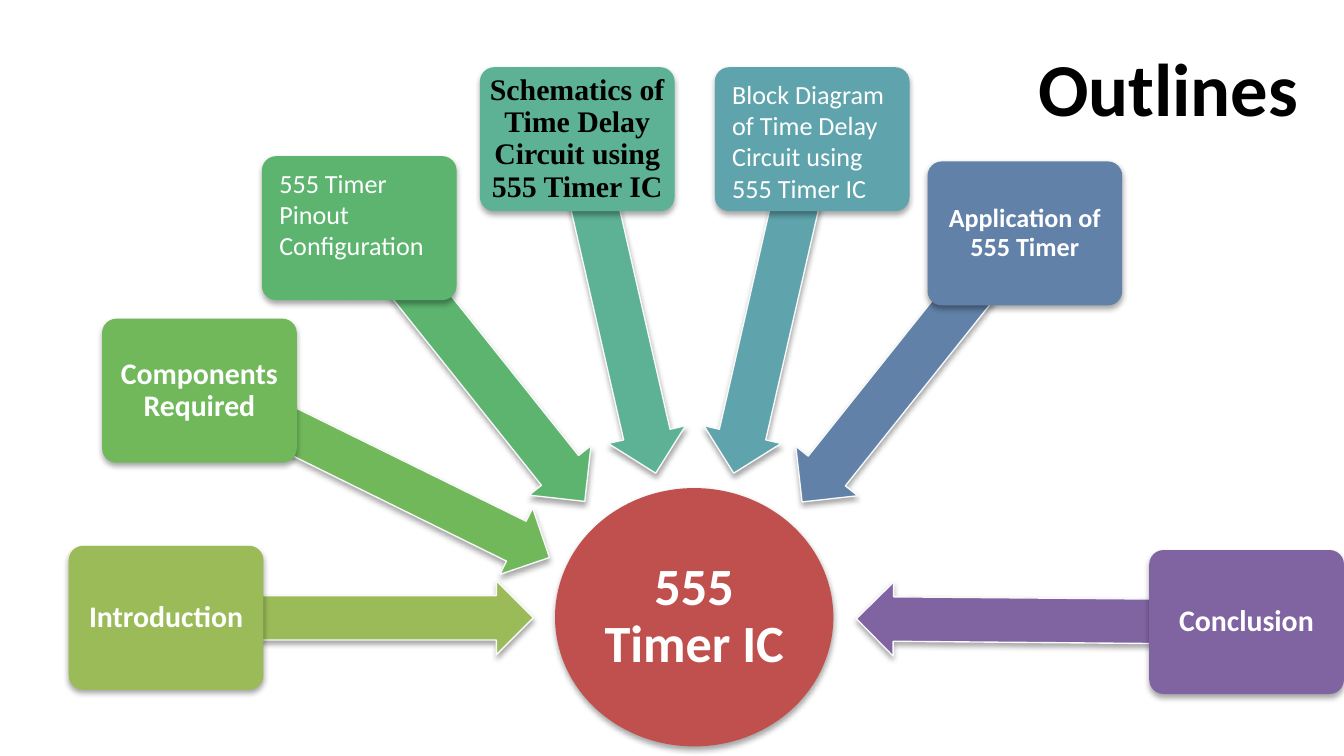
from lxml import etree
from pptx import Presentation
from pptx.dml.color import RGBColor
from pptx.enum import shapes, text
from pptx.oxml.ns import qn
from pptx.util import Cm, Pt

TITLE = "Outlines"
HUB = "555 Timer IC"
HUB_COLOUR = "C0504D"
WHITE, BLACK = "FFFFFF", "000000"
BOX_WIDTH, BOX_HEIGHT = 3.68, 2.72
CENTRED = {"size": 16, "bold": True}
PLAIN = {"size": 14, "centred": False}
SERIF = {**CENTRED, "font": "Times New Roman", "colour": BLACK}

# label, colour, text style, box (left, top),
# arrow (middle x, middle y, length, thickness, angle); lengths in cm
TOPICS = [
    ("Introduction", "9BBB59", CENTRED, (1.3, 10.31), (6.6, 11.67, 6.96, 1.4, 180)),
    ("Components Required", "70B85A", CENTRED, (1.93, 6.02), (7.07, 8.9, 7.39, 1.4, 206.2)),
    ("555 Timer Pinout Configuration", "5CB46F", PLAIN, (4.95, 2.95), (9, 6.9, 6.58, 1.5, 231.4)),
    ("Schematics of Time Delay Circuit using 555 Timer IC", "5DB195", SERIF,
     (9.07, 1.27), (11.67, 5.78, 6.48, 1.5, 257.1)),
    ("Block Diagram of Time Delay Circuit using 555 Timer IC", "5FA4AD", PLAIN,
     (13.51, 1.27), (14.59, 5.78, 6.48, 1.5, 282.9)),
    ("Application of 555 Timer", "6181A9", {**CENTRED, "size": 14},
     (17.53, 3.05), (17.18, 6.95, 6.48, 1.5, 308.6)),
    ("Conclusion", "8064A2", CENTRED, (21.72, 10.39), (19.88, 11.72, 7.39, 1.4, 0.5)),
]


def rgb(colour):
    return RGBColor.from_string(colour)


def add_shadow(shape):
    """Give the shape a soft black shadow straight below it."""
    shape.shadow.inherit = False
    effects = shape._element.spPr.find(qn("a:effectLst"))
    shadow = etree.SubElement(effects, qn("a:outerShdw"), blurRad=str(Pt(3.1)),
                              dist=str(Pt(1.8)), dir="5400000", rotWithShape="0")
    tint = etree.SubElement(shadow, qn("a:srgbClr"), val=BLACK)
    etree.SubElement(tint, qn("a:alpha"), val="35000")


def add_shape(page, kind, left, top, width, height, colour, line=None):
    shape = page.shapes.add_shape(kind, Cm(left), Cm(top), Cm(width), Cm(height))
    shape.fill.solid()
    shape.fill.fore_color.rgb = rgb(colour)
    if line:
        shape.line.color.rgb = rgb(line)
        shape.line.width = Pt(0.75)
    else:
        shape.line.fill.background()
    add_shadow(shape)
    return shape


def add_run(para, words, size, bold, font, colour):
    span = para.add_run()
    span.text = words
    span.font.size = Pt(size)
    span.font.bold = bold
    span.font.name = font
    span.font.color.rgb = rgb(colour)


def write(shape, words, size, bold=False, font="Calibri", colour=WHITE, centred=True, inset=0.08):
    frame = shape.text_frame
    frame.word_wrap = True
    para = frame.paragraphs[0]
    if centred:
        frame.vertical_anchor = text.MSO_ANCHOR.MIDDLE
        frame.margin_left = frame.margin_right = Cm(inset)
        frame.margin_top = frame.margin_bottom = Cm(inset)
        para.alignment = text.PP_ALIGN.CENTER
        para.line_spacing = 0.9
    else:
        frame.vertical_anchor = text.MSO_ANCHOR.TOP
        para.alignment = text.PP_ALIGN.LEFT
    add_run(para, words, size, bold, font, colour)


def add_title(page):
    title = page.shapes.title
    title.left, title.top, title.width, title.height = Cm(7.62), Cm(0.64), Cm(17.17), Cm(2)
    title.text_frame.vertical_anchor = text.MSO_ANCHOR.MIDDLE
    para = title.text_frame.paragraphs[0]
    para.alignment = text.PP_ALIGN.RIGHT
    add_run(para, TITLE, 40, True, "Calibri", BLACK)


def add_topic(page, label, colour, style, corner, arrow_place):
    x, y, length, thickness, angle = arrow_place
    arrow = add_shape(page, shapes.MSO_SHAPE.LEFT_ARROW, x - length / 2, y - thickness / 2,
                      length, thickness, colour, line="F9F9F9")
    arrow.adjustments[0], arrow.adjustments[1] = 0.6, 0.5
    arrow.rotation = angle

    box = add_shape(page, shapes.MSO_SHAPE.ROUNDED_RECTANGLE, *corner,
                    BOX_WIDTH, BOX_HEIGHT, colour)
    box.adjustments[0] = 0.1
    write(box, label, **style)


def main():
    deck = Presentation()
    deck.slide_width, deck.slide_height = Cm(25.4), Cm(14.28)
    page = deck.slides.add_slide(deck.slide_layouts[5])
    add_title(page)
    hub = add_shape(page, shapes.MSO_SHAPE.OVAL, 10.49, 9.22, 5.26, 4.88, HUB_COLOUR)
    write(hub, HUB, 28, bold=True, inset=0.05)
    for topic in TOPICS:
        add_topic(page, *topic)
    deck.save("out.pptx")


if __name__ == "__main__":
    main()
